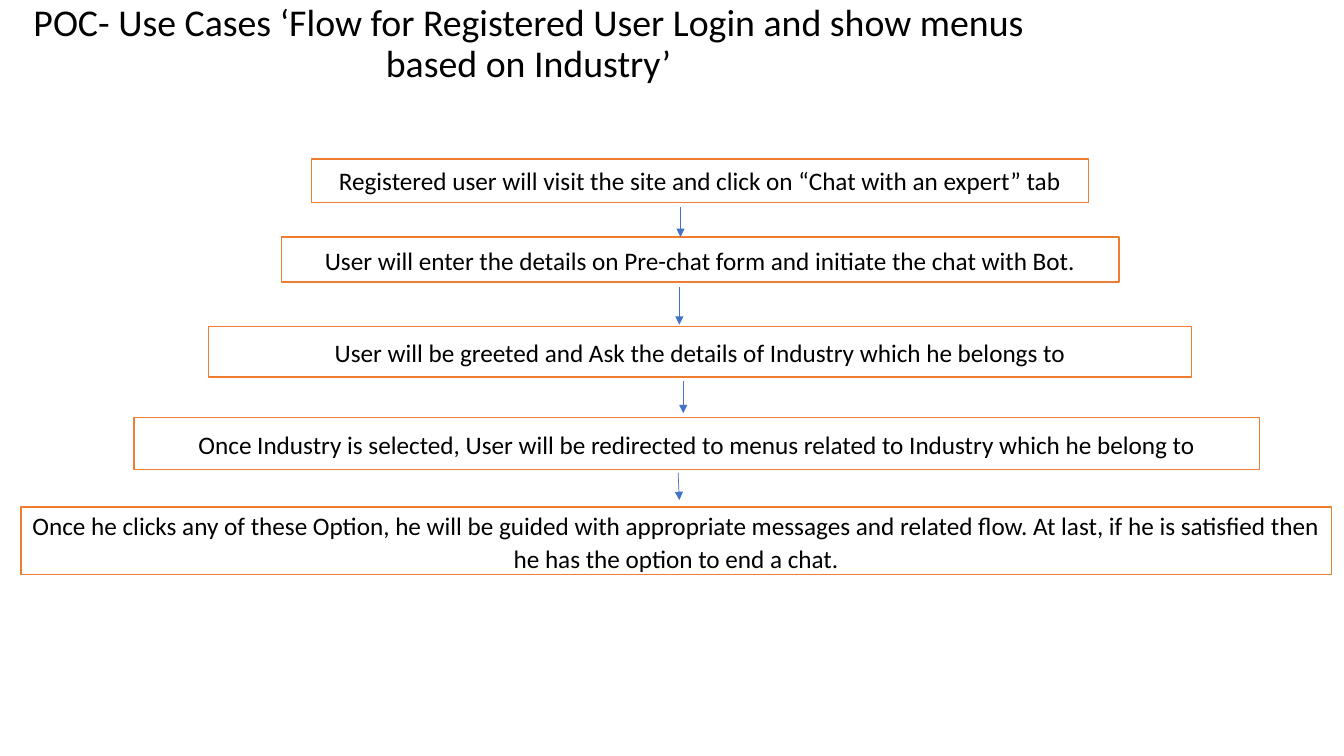
from pptx import Presentation
from pptx.dml.color import RGBColor
from pptx.enum.shapes import MSO_CONNECTOR, MSO_SHAPE
from pptx.enum.text import MSO_ANCHOR, MSO_AUTO_SIZE, PP_ALIGN
from pptx.oxml.ns import qn
from pptx.util import Cm, Pt
from lxml import etree

TITLE = "POC- Use Cases ‘Flow for Registered User Login and show menus based on Industry’"
TITLE_BOX = (0.15, 0.18, 26.34, 1.88)

# text, left, top, width, height, line spacing, space after
STEPS = [
    ("Registered user will visit the site and click on “Chat with an expert” tab",
     7.85, 4.01, 19.58, 1.09, 1.0, 0),
    ("User will enter the details on Pre-chat form and initiate the chat with Bot.",
     7.09, 5.97, 21.11, 1.14, 1.07, 8),
    ("User will be greeted and Ask the details of Industry which he belongs to",
     5.26, 8.23, 24.77, 1.27, 1.07, 8),
    ("Once Industry is selected, User will be redirected to menus related to "
     "Industry which he belong to",
     3.38, 10.52, 28.37, 1.32, 1.07, 8),
    ("Once he clicks any of these Option, he will be guided with appropriate messages "
     "and related flow. At last, if he is satisfied then he has the option to end a chat.",
     0.53, 12.78, 33.02, 1.7, 1.07, 8),
]
ARROWS = [
    (17.15, 5.21, 17.15, 5.97),
    (17.12, 7.24, 17.12, 8.18),
    (17.22, 9.6, 17.22, 10.41),
    (17.09, 11.91, 17.12, 12.6),
]

FONT = "Calibri"
BLACK = RGBColor(0x00, 0x00, 0x00)
WHITE = RGBColor(0xFF, 0xFF, 0xFF)
ORANGE = RGBColor(0xED, 0x7D, 0x31)
BLUE = RGBColor(0x44, 0x72, 0xC4)
CENTER = PP_ALIGN.CENTER
MIDDLE = MSO_ANCHOR.MIDDLE
RECTANGLE = MSO_SHAPE.RECTANGLE
STRAIGHT = MSO_CONNECTOR.STRAIGHT
NO_AUTOFIT = MSO_AUTO_SIZE.NONE


def set_text(sp, text, size, line_spacing, space_after=0):
    tf = sp.text_frame
    tf.text = text
    tf.word_wrap = True
    tf.auto_size = NO_AUTOFIT
    tf.vertical_anchor = MIDDLE
    p = tf.paragraphs[0]
    p.alignment = CENTER
    p.line_spacing = line_spacing
    p.space_before = Pt(0)
    p.space_after = Pt(space_after)
    font = p.runs[0].font
    font.name = FONT
    font.size = Pt(size)
    font.color.rgb = BLACK


def add_step(s, text, left, top, width, height, line_spacing, space_after):
    sp = s.shapes.add_shape(RECTANGLE, Cm(left), Cm(top), Cm(width), Cm(height))
    sp.shadow.inherit = False
    sp.fill.solid()
    sp.fill.fore_color.rgb = WHITE
    sp.line.color.rgb = ORANGE
    sp.line.width = Pt(1)
    set_text(sp, text, 18, line_spacing, space_after)


def add_arrow(s, x1, y1, x2, y2):
    arrow = s.shapes.add_connector(STRAIGHT, Cm(x1), Cm(y1), Cm(x2), Cm(y2))
    arrow.line.color.rgb = BLUE
    arrow.line.width = Pt(0.5)
    sp_pr = arrow._element.spPr
    etree.SubElement(sp_pr.find(qn("a:ln")), qn("a:tailEnd"), type="triangle")
    etree.SubElement(sp_pr, qn("a:effectLst"))


def main():
    prs = Presentation()
    prs.slide_width = Cm(33.87)
    prs.slide_height = Cm(19.05)
    s = prs.slides.add_slide(prs.slide_layouts[5])

    title = s.shapes.title
    title.left, title.top, title.width, title.height = map(Cm, TITLE_BOX)
    set_text(title, TITLE, 27, 0.9)

    for step in STEPS:
        add_step(s, *step)
    for arrow in ARROWS:
        add_arrow(s, *arrow)

    prs.save("out.pptx")


if __name__ == "__main__":
    main()
